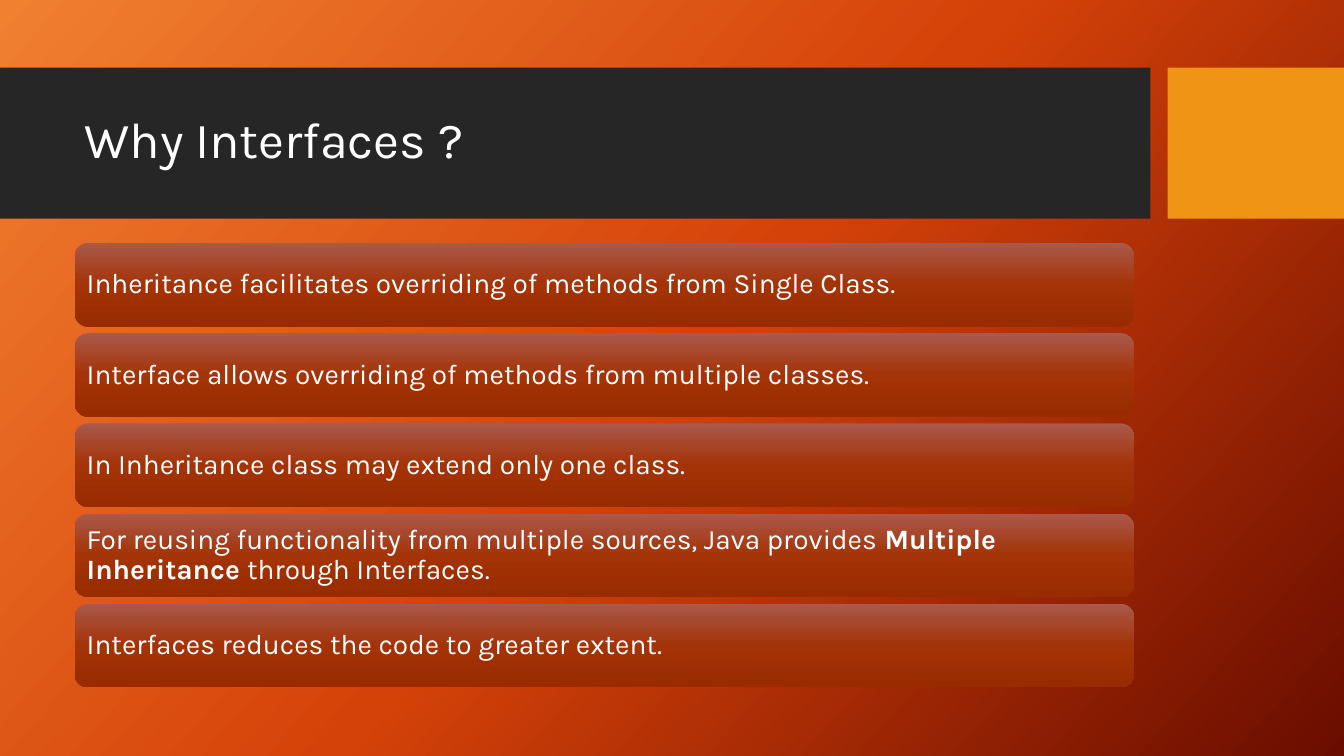
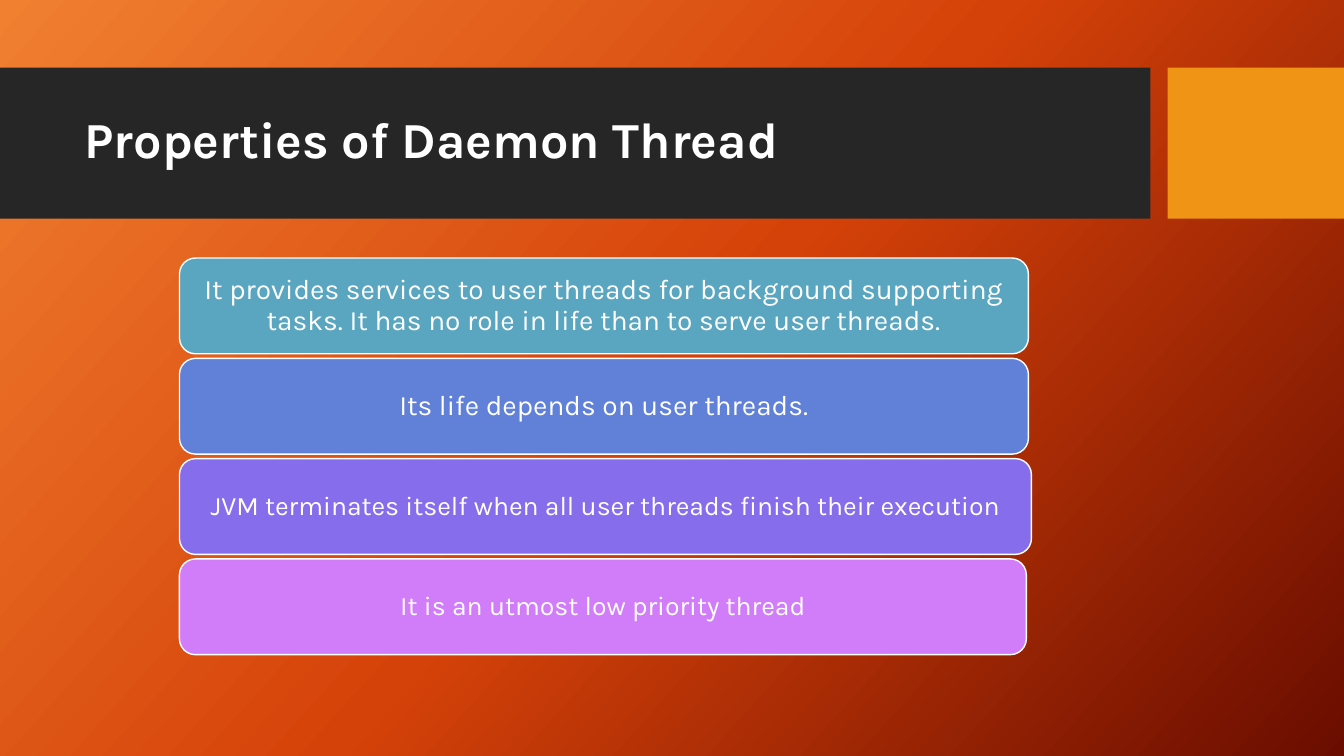
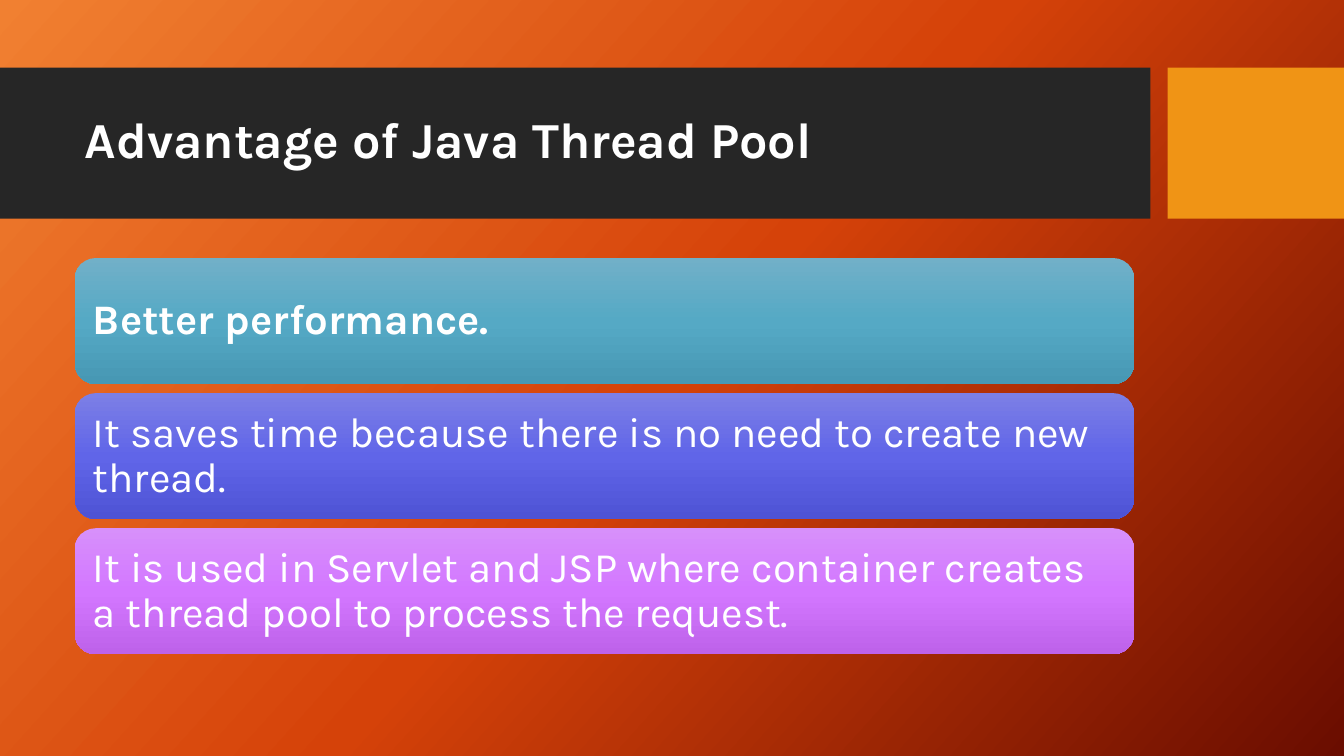
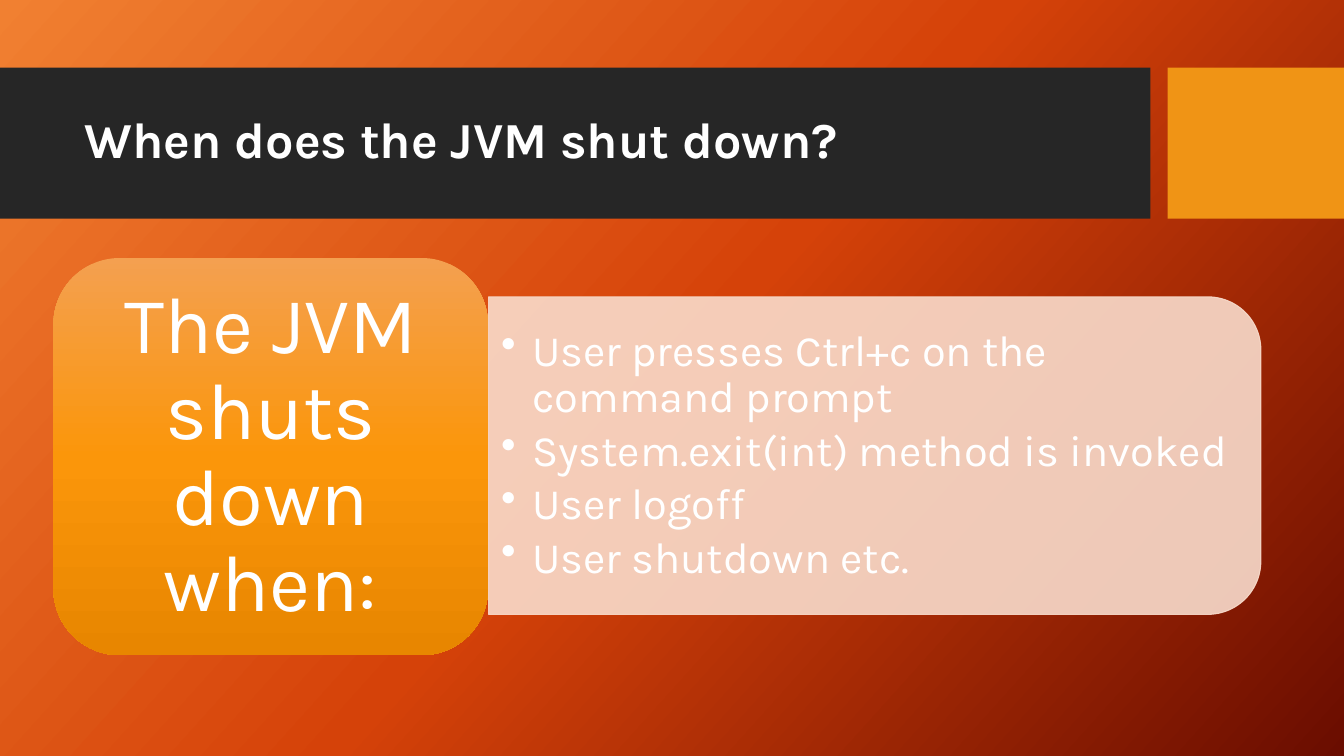
from copy import deepcopy
from pptx import Presentation
from pptx.dml.color import RGBColor
from pptx.enum import shapes, text
from pptx.oxml import ns, xmlchemy
from pptx.util import Inches, Pt

FONT = "Karla"
HEX = {
    "white": "FFFFFF", "band": "262626", "tab": "F09415", "panel": "F9DCCC",
    "teal": "5AA6C0", "blue": "6181D8", "violet": "866DEB", "pink": "D17DF9",
}
FADE = {
    "back": ("F18031", "D54209", "6A0D00"),
    "rust": ("AA594C", "A43307", "982B00"),
    "teal": ("71B0C8", "55A9C5", "4798B4"),
    "blue": ("7C7FE6", "6065E8", "4E53D5"),
    "pink": ("D790FB", "D377FF", "BE62EA"),
    "amber": ("F4A050", "FB960A", "E88600"),
}

WHY = [
    "Inheritance facilitates overriding of methods from Single Class.",
    "Interface allows overriding of methods from multiple classes.",
    "In Inheritance class may extend only one class.",
    "For reusing functionality from multiple sources, Java provides "
    "*Multiple Inheritance *through Interfaces.",
    "Interfaces reduces the code to greater extent.",
]
DAEMON = [
    ("It provides services to user threads for background supporting tasks. "
     "It has no role in life than to serve user threads.", "teal", 8.42, 20),
    ("Its life depends on user threads.", "blue", 8.42, 20),
    ("JVM terminates itself when all user threads finish their execution",
     "violet", 8.45, 19),
    ("It is an utmost low priority thread", "pink", 8.4, 19),
]
POOL = [
    ("*Better performance.*", "teal"),
    ("It saves time because there is no need to create new thread.", "blue"),
    ("It is used in Servlet and JSP where container creates a thread pool "
     "to process the request.", "pink"),
]
CAUSE = "The JVM shuts down when:"
EVENTS = [
    "User presses Ctrl+c on the command prompt",
    "System.exit(int) method is invoked",
    "User logoff",
    "User shutdown etc.",
]

deck = Presentation()
deck.slide_width, deck.slide_height = Inches(13.33), Inches(7.5)
KIND = shapes.MSO_SHAPE
MID = text.PP_ALIGN.CENTER


def rgb(name):
    return RGBColor.from_string(HEX[name])


def blend(owner, fill, name, angle):
    fill.gradient()
    fill.gradient_angle = 360 - angle
    stops = next(owner._element.iter(ns.qn("a:gsLst")))
    stops.insert(1, deepcopy(stops[0]))
    for stop, code, place in zip(fill.gradient_stops, FADE[name], (0, 0.5, 1)):
        stop.color.rgb = RGBColor.from_string(code)
        stop.position = place


def form(slide, kind, box, fill=None, fade=None, line=None, width=1):
    shape = slide.shapes.add_shape(kind, *map(Inches, box))
    shape.shadow.inherit = False
    if fade:
        blend(shape, shape.fill, fade, 90)
    else:
        shape.fill.solid()
        shape.fill.fore_color.rgb = rgb(fill)
    if line:
        shape.line.color.rgb = rgb(line)
        shape.line.width = Pt(width)
    else:
        shape.line.fill.background()
    return shape


def write(shape, paras, size=20, align=text.PP_ALIGN.LEFT, inset=(0.1, 0.05),
          after=0, bullet=None, hang=0.31):
    frame = shape.text_frame
    frame.word_wrap = True
    frame.vertical_anchor = text.MSO_ANCHOR.MIDDLE
    frame.margin_left = frame.margin_right = Inches(inset[0])
    frame.margin_top = frame.margin_bottom = Inches(inset[1])
    for i, words in enumerate(paras):
        para = frame.add_paragraph() if i else frame.paragraphs[0]
        para.alignment = align
        para.line_spacing = 0.9
        para.space_after = Pt(after)
        if bullet:
            prop = para._p.get_or_add_pPr()
            prop.set("marL", str(Inches(hang)))
            prop.set("indent", str(-Inches(hang)))
            mark = xmlchemy.OxmlElement("a:buChar")
            mark.set("char", bullet)
            prop.append(mark)
        for j, part in enumerate(words.split("*")):
            if part:
                run = para.add_run()
                run.text = part
                run.font.name = FONT
                run.font.size = Pt(size)
                run.font.bold = j % 2 == 1
                run.font.color.rgb = rgb("white")


def start(title):
    slide = deck.slides.add_slide(deck.slide_layouts[6])
    blend(slide, slide.background.fill, "back", 42)
    form(slide, KIND.RECTANGLE, (0, 0.67, 11.41, 1.5), fill="band")
    form(slide, KIND.RECTANGLE, (11.58, 0.67, 1.75, 1.5), fill="tab")
    head = slide.shapes.add_textbox(*map(Inches, (0.74, 0.82, 10.51, 1.18)))
    write(head, [title], size=36)
    return slide


slide = start("Why Interfaces ?")
for i, words in enumerate(WHY):
    bar = form(slide, KIND.ROUNDED_RECTANGLE,
               (0.74, 2.41 + i * 0.895, 10.51, 0.83), fade="rust")
    write(bar, [words], inset=(0.08, 0.08))

slide = start("*Properties of Daemon Thread*")
for i, (words, tint, wide, size) in enumerate(DAEMON):
    bar = form(slide, KIND.ROUNDED_RECTANGLE,
               (1.78, 2.56 + i * 0.995, wide, 0.95), fill=tint, line="white")
    write(bar, [words], size=size, align=MID, inset=(0.08, 0.04))

slide = start("*Advantage of Java Thread Pool*")
for i, (words, tint) in enumerate(POOL):
    bar = form(slide, KIND.ROUNDED_RECTANGLE,
               (0.74, 2.56 + i * 1.34, 10.51, 1.25), fade=tint)
    write(bar, [words], size=30, inset=(0.12, 0.12))

slide = start("*When does the JVM shut down?*")
panel = form(slide, KIND.ROUND_2_SAME_RECTANGLE, (7.1, 0.69, 3.15, 7.66),
             fill="panel", line="panel", width=0.75)
panel.rotation = 90
for tone in panel._element.spPr.iter(ns.qn("a:srgbClr")):
    alpha = xmlchemy.OxmlElement("a:alpha")
    alpha.set("val", "90000")
    tone.append(alpha)
events = slide.shapes.add_textbox(*map(Inches, (4.84, 3.1, 7.51, 2.84)))
write(events, EVENTS, size=31, inset=(0.13, 0.06), after=4.65, bullet="•")
cause = form(slide, KIND.ROUNDED_RECTANGLE, (0.53, 2.56, 4.31, 3.94), fade="amber")
write(cause, [CAUSE], size=57, align=MID, inset=(0.24, 0.12))

deck.save("out.pptx")
